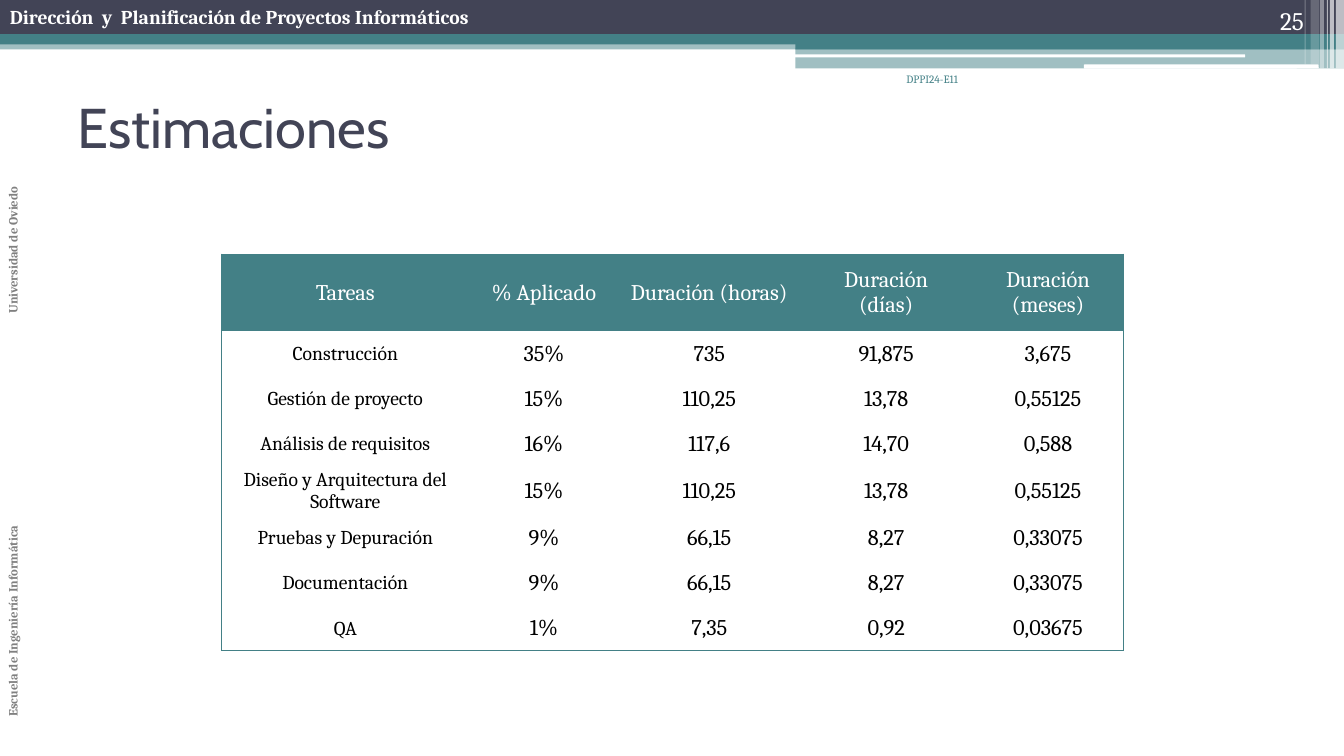
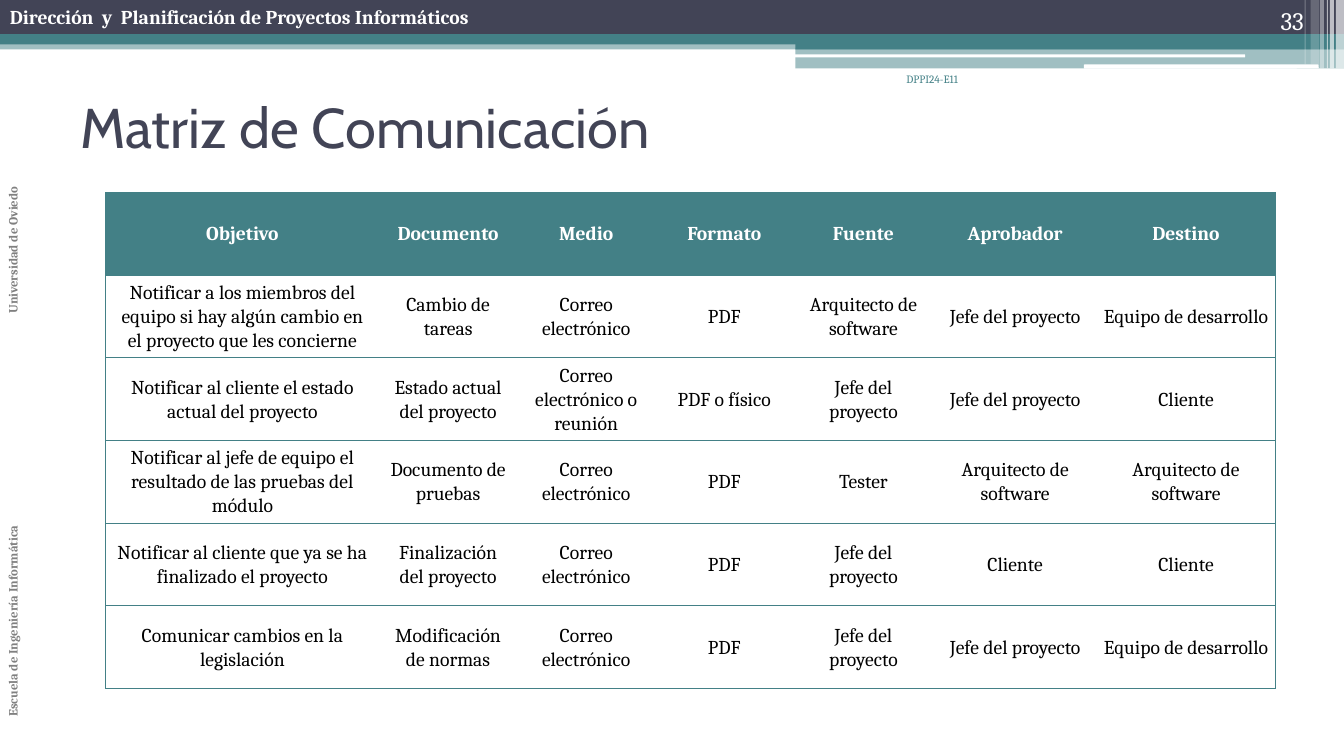
from lxml import etree
from pptx import Presentation
from pptx.dml.color import RGBColor
from pptx.enum.shapes import MSO_SHAPE
from pptx.enum.text import MSO_ANCHOR, PP_ALIGN
from pptx.oxml.ns import qn
from pptx.util import Inches, Pt

RECT, ROUNDED = MSO_SHAPE.RECTANGLE, MSO_SHAPE.ROUNDED_RECTANGLE
LEFT, CENTER, RIGHT = PP_ALIGN.LEFT, PP_ALIGN.CENTER, PP_ALIGN.RIGHT
TOP, MIDDLE, BOTTOM = MSO_ANCHOR.TOP, MSO_ANCHOR.MIDDLE, MSO_ANCHOR.BOTTOM

NAVY, TEAL, WHITE, GRAY, BLACK = "424456", "438086", "FFFFFF", "808080", "000000"
BODY_FONT, TITLE_FONT = "Cambria", "Cabin"
WIDTH, HEIGHT = 13.33, 7.5

BANDS = [
    (RECT, 0, 0.4, WIDTH, 0.09, TEAL, 50),
    (RECT, 0, 0, WIDTH, 0.34, NAVY, 100),
    (RECT, 0, 0.34, WIDTH, 0.1, TEAL, 100),
    (RECT, 7.89, 0.39, 5.44, 0.1, TEAL, 100),
    (RECT, 7.89, 0.48, 5.44, 0.2, TEAL, 50),
    (ROUNDED, 7.88, 0.54, 4.47, 0.03, WHITE, 100),
    (ROUNDED, 10.75, 0.64, 2.33, 0.04, WHITE, 100),
    (RECT, 13.25, 0, 0.08, 0.68, WHITE, 65),
    (RECT, 13.19, 0, 0.04, 0.68, WHITE, 65),
    (RECT, 13.16, 0, 0.01, 0.68, WHITE, 60),
    (RECT, 13.09, 0, 0.04, 0.68, WHITE, 40),
    (RECT, 13, 0, 0.08, 0.64, WHITE, 20),
    (RECT, 12.94, 0, 0.01, 0.64, WHITE, 30),
]

ESTIMATES = [
    ["Tareas", "% Aplicado", "Duración (horas)", "Duración\n(días)", "Duración\n(meses)"],
    ["Construcción", "35%", "735", "91,875", "3,675"],
    ["Gestión de proyecto", "15%", "110,25", "13,78", "0,55125"],
    ["Análisis de requisitos", "16%", "117,6", "14,70", "0,588"],
    ["Diseño y Arquitectura del Software", "15%", "110,25", "13,78", "0,55125"],
    ["Pruebas y Depuración", "9%", "66,15", "8,27", "0,33075"],
    ["Documentación", "9%", "66,15", "8,27", "0,33075"],
    ["QA", "1%", "7,35", "0,92", "0,03675"],
]

COMMUNICATIONS = [
    ["Objetivo", "Documento", "Medio", "Formato", "Fuente", "Aprobador", "Destino"],
    ["Notificar a los miembros del equipo si hay algún cambio en el proyecto que les concierne",
     "Cambio de tareas", "Correo electrónico", "PDF", "Arquitecto de software",
     "Jefe del proyecto", "Equipo de desarrollo"],
    ["Notificar al cliente el estado actual del proyecto",
     "Estado actual del proyecto", "Correo electrónico o reunión", "PDF o físico",
     "Jefe del proyecto", "Jefe del proyecto", "Cliente"],
    ["Notificar al jefe de equipo el resultado de las pruebas del módulo",
     "Documento de pruebas", "Correo electrónico", "PDF", "Tester",
     "Arquitecto de software", "Arquitecto de software"],
    ["Notificar al cliente que ya se ha finalizado el proyecto",
     "Finalización del proyecto", "Correo electrónico", "PDF",
     "Jefe del proyecto", "Cliente", "Cliente"],
    ["Comunicar cambios en la legislación",
     "Modificación de normas", "Correo electrónico", "PDF",
     "Jefe del proyecto", "Jefe del proyecto", "Equipo de desarrollo"],
]


def rgb(color):
    return RGBColor.from_string(color)


def write(frame, text, size, color, bold=False, font=BODY_FONT, align=LEFT, spacing=None):
    frame.text = text
    frame.word_wrap = True
    for paragraph in frame.paragraphs:
        paragraph.alignment = align
        if spacing:
            paragraph.line_spacing = spacing
        for run in paragraph.runs:
            run.font.name = font
            run.font.size = Pt(size)
            run.font.bold = bold
            run.font.color.rgb = rgb(color)


def add_band(slide, outline, left, top, width, height, color, opacity):
    band = slide.shapes.add_shape(
        outline, Inches(left), Inches(top), Inches(width), Inches(height))
    band.shadow.inherit = False
    band.line.fill.background()
    band.fill.solid()
    band.fill.fore_color.rgb = rgb(color)
    if opacity < 100:
        tint = band.fill._xPr.find(".//" + qn("a:srgbClr"))
        etree.SubElement(tint, qn("a:alpha"), val=str(opacity * 1000))


def add_label(slide, box, text, size, color, anchor=TOP, vertical=False, **style):
    frame = slide.shapes.add_textbox(*map(Inches, box)).text_frame
    frame.vertical_anchor = anchor
    if vertical:
        frame._txBody.bodyPr.set("vert", "vert270")
    write(frame, text, size, color, **style)


def set_borders(cell, drawn_sides):
    properties = cell._tc.get_or_add_tcPr()
    for index, side in enumerate("LRTB"):
        border = etree.Element(qn("a:ln" + side), w=str(Pt(0.75)))
        if side in drawn_sides:
            fill = etree.SubElement(border, qn("a:solidFill"))
            etree.SubElement(fill, qn("a:srgbClr"), val=TEAL)
        else:
            etree.SubElement(border, qn("a:noFill"))
        properties.insert(index, border)


def border_sides(row, column, last_row, last_column, ruled):
    edges = {"L": column == 0, "R": column == last_column,
             "T": ruled or row == 0, "B": ruled or row == last_row}
    return [side for side, drawn in edges.items() if drawn]


def add_grid(slide, left, top, widths, heights, rows, header_style, body_style,
             header_margins, body_margins, ruled=False):
    table = slide.shapes.add_table(
        len(rows), len(widths), Inches(left), Inches(top),
        Inches(sum(widths)), Inches(sum(heights))).table
    table.first_row = table.horz_banding = False
    for column, width in zip(table.columns, widths):
        column.width = Inches(width)
    for row, height in zip(table.rows, heights):
        row.height = Inches(height)
    for r, texts in enumerate(rows):
        for c, text in enumerate(texts):
            cell = table.cell(r, c)
            margins = body_margins if r else header_margins
            cell.margin_left = cell.margin_right = Inches(margins[0])
            cell.margin_top, cell.margin_bottom = map(Inches, margins[1:])
            cell.vertical_anchor = MIDDLE
            if r:
                cell.fill.background()
                write(cell.text_frame, text, color=BLACK, align=CENTER, **body_style(c))
            else:
                cell.fill.solid()
                cell.fill.fore_color.rgb = rgb(TEAL)
                write(cell.text_frame, text, color=WHITE, align=CENTER, **header_style)
            set_borders(cell, border_sides(r, c, len(rows) - 1, len(texts) - 1, ruled))


def add_course_slide(deck, title, number, title_left):
    slide = deck.slides.add_slide(deck.slide_layouts[6])
    for band in BANDS:
        add_band(slide, *band)
    add_label(slide, (0, 0, 8.24, 0.34),
              "Dirección  y  Planificación de Proyectos Informáticos", 14, WHITE, bold=True)
    for top, institution in ((4.21, "Escuela de Ingeniería Informática"),
                             (0.21, "Universidad de Oviedo")):
        add_label(slide, (0, top, 0.35, 3), institution, 9, GRAY, vertical=True, bold=True)
    add_label(slide, (7.67, 0.67, 1.93, 0.5), "DPPI24-E11", 8, TEAL, align=RIGHT)
    add_label(slide, (11.92, 0, 1.11, 0.4), number, 18, WHITE, anchor=BOTTOM, align=RIGHT)
    add_label(slide, (title_left, 0.67, 12, 1.17), title, 40, NAVY,
              anchor=MIDDLE, font=TITLE_FONT)
    return slide


def main():
    deck = Presentation()
    deck.slide_width, deck.slide_height = Inches(WIDTH), Inches(HEIGHT)

    estimates = add_course_slide(deck, "Estimaciones", "25", 0.67)
    add_grid(estimates, 2.2, 2.52, [2.45, 1.49, 1.79, 1.72, 1.49],
             [0.76] + [0.45] * 3 + [0.47] + [0.45] * 3, ESTIMATES,
             header_style={"size": 16},
             body_style=lambda column: {"size": 16 if column else 14},
             header_margins=(0.01, 0.01, 0), body_margins=(0.01, 0.01, 0))

    communications = add_course_slide(deck, "Matriz de Comunicación", "33", 0.7)
    add_grid(communications, 1.05, 1.91, [2.71, 1.37, 1.37, 1.37, 1.39, 1.62, 1.77],
             [0.82] * len(COMMUNICATIONS), COMMUNICATIONS,
             header_style={"size": 14, "bold": True},
             body_style=lambda column: {"size": 14, "spacing": 1.07},
             header_margins=(0.1, 0.05, 0.05), body_margins=(0.07, 0, 0), ruled=True)

    deck.save("out.pptx")


if __name__ == "__main__":
    main()
